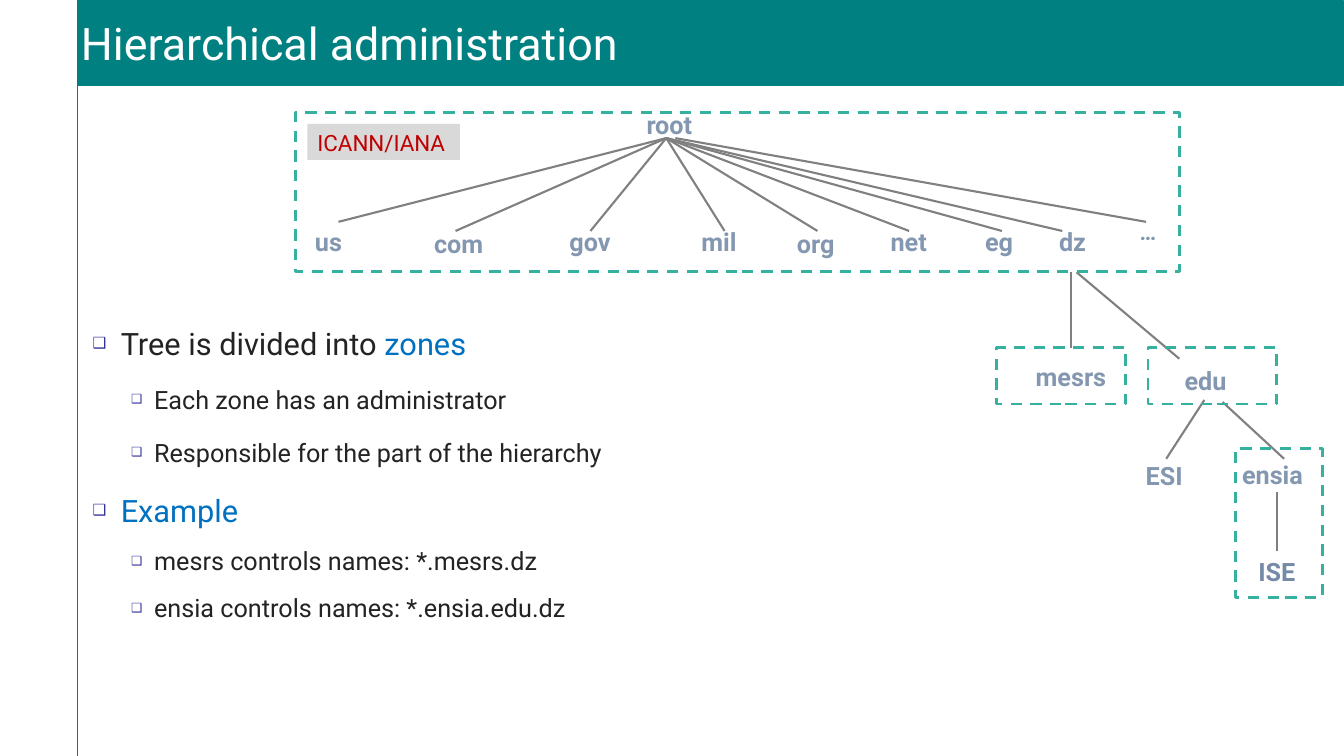
"""Build the slide on hierarchical administration of the domain name tree."""
from lxml.etree import SubElement
from pptx import Presentation
from pptx.dml.color import RGBColor
from pptx.enum.dml import MSO_LINE
from pptx.enum.shapes import MSO_CONNECTOR, MSO_SHAPE
from pptx.enum.text import MSO_ANCHOR, MSO_AUTO_SIZE, PP_ALIGN
from pptx.oxml.ns import qn
from pptx.util import Cm, Pt

COLORS = {
    "teal": "008080", "zone": "36B09F", "branch": "808080", "label": "8497B0",
    "leaf": "758AA7", "text": "232323", "accent": "0070C0", "bullet": "333399",
    "tag": "D9D9D9", "tag_text": "C00000", "white": "FFFFFF",
}


def write(paragraph, text, size=18, color="label", bold=False):
    run = paragraph.add_run()
    run.text = text
    run.font.name = "Roboto"
    run.font.size = Pt(size)
    run.font.bold = bold
    run.font.color.rgb = RGBColor.from_string(COLORS[color])


def connect(start, end, color="branch", width=1.5):
    ends = [Cm(value) for value in (*start, *end)]
    branch = slide.shapes.add_connector(MSO_CONNECTOR.STRAIGHT, *ends)
    branch.line.color.rgb = RGBColor.from_string(COLORS[color])
    branch.line.width = Pt(width)
    SubElement(branch._element.spPr, qn("a:effectLst"))


presentation = Presentation()
presentation.slide_width = Cm(33.87)
presentation.slide_height = Cm(19.05)
slide = presentation.slides.add_slide(presentation.slide_layouts[1])

title = slide.shapes.title
title.left, title.top, title.width, title.height = Cm(1.96), Cm(0.03), Cm(31.9), Cm(2.11)
title.fill.solid()
title.fill.fore_color.rgb = RGBColor.from_string(COLORS["teal"])
title.line.color.rgb = RGBColor.from_string(COLORS["teal"])
title.line.width = Pt(1)
heading = title.text_frame
heading.auto_size = MSO_AUTO_SIZE.NONE
heading.vertical_anchor = MSO_ANCHOR.MIDDLE
heading.margin_left = heading.margin_right = Cm(0.08)
heading.margin_top = heading.margin_bottom = Cm(0.08)
heading.paragraphs[0].alignment = PP_ALIGN.LEFT
write(heading.paragraphs[0], "Hierarchical administration", size=32, color="white")

connect((1.96, 1.85), (1.96, 19.05), color="teal", width=0.75)

points = slide.placeholders[1]
points.left, points.top, points.width, points.height = Cm(2.08), Cm(7.87), Cm(22.1), Cm(11.18)
points.text_frame.auto_size = MSO_AUTO_SIZE.NONE
points.text_frame.vertical_anchor = MSO_ANCHOR.TOP
outline = [
    (0, 1.2, [("Tree is divided into ", "text"), ("zones", "accent")]),
    (1, 1.2, [("Each zone has an administrator", "text")]),
    (1, 1.2, [("Responsible for the part of the hierarchy", "text")]),
    (0, 1.2, [("Example", "accent")]),
    (1, 1.0, [("mesrs controls names: *.mesrs.dz", "text")]),
    (1, 1.0, [("ensia controls names: *.ensia.edu.dz", "text")]),
]
for index, (level, spacing, pieces) in enumerate(outline):
    point = points.text_frame.add_paragraph() if index else points.text_frame.paragraphs[0]
    point.level = level
    properties = point._p.get_or_add_pPr()
    properties.set("marL", str(Cm((0.71, 1.55)[level])))
    properties.set("indent", str(-Cm((0.71, 0.58)[level])))
    SubElement(SubElement(properties, qn("a:buClr")), qn("a:srgbClr"), val=COLORS["bullet"])
    SubElement(properties, qn("a:buSzPct"), val="50000")
    SubElement(properties, qn("a:buFont"), typeface="Roboto")
    SubElement(properties, qn("a:buChar"), char="❑")
    point.line_spacing = spacing
    point.space_before = Pt(12 if index else 0)
    for text, color in pieces:
        write(point, text, size=(22, 18)[level], color=color)

domains = [
    ("root", 16.87, 2.64, 1.98), ("us", 8.28, 5.59, 1.32), ("com", 11.56, 5.64, 1.98),
    ("gov", 14.87, 5.59, 1.8), ("mil", 18.12, 5.59, 1.6), ("org", 20.56, 5.64, 1.7),
    ("net", 22.9, 5.59, 1.7), ("eg", 25.18, 5.59, 1.4), ("dz", 27.03, 5.59, 1.32),
    ("…", 28.93, 5.38, 1.07), ("edu", 30.38, 9.07, 1.83), ("mesrs", 26.99, 8.99, 2.67),
    ("ensia", 32.07, 11.46, 2.41), ("ESI", 29.34, 11.48, 1.63), ("ISE", 32.18, 13.89, 1.63),
]
for name, center, top, width in domains:
    domain = slide.shapes.add_textbox(Cm(center - width / 2), Cm(top), Cm(width), Cm(1.02))
    domain.text_frame.word_wrap = False
    domain.text_frame.paragraphs[0].alignment = PP_ALIGN.CENTER
    write(domain.text_frame.paragraphs[0], name, size=16 if name == "…" else 18,
          color="leaf" if name == "ISE" else "label", bold=True)

root = (16.79, 3.48)
connect(root, (8.53, 5.59))
for x in (11.48, 14.88, 18.26, 20.6, 22.91, 25.25, 26.77):
    connect(root, (x, 5.82))
for start, end in [
    ((17.02, 3.48), (28.88, 5.59)),
    ((27, 6.86), (27, 8.76)),
    ((27.13, 6.86), (29.72, 9.04)),
    ((30.35, 10.08), (29.39, 11.56)),
    ((30.81, 10.13), (32.36, 11.56)),
    ((32.18, 12.4), (32.18, 13.89)),
]:
    connect(start, end)

for bounds in [
    (7.44, 2.84, 22.28, 4.01),
    (28.93, 8.76, 3.25, 1.42),
    (25.12, 8.76, 3.25, 1.42),
    (31.14, 11.3, 2.18, 3.76),
]:
    zone = slide.shapes.add_shape(MSO_SHAPE.RECTANGLE, *[Cm(value) for value in bounds])
    zone.shadow.inherit = False
    zone.fill.background()
    zone.line.color.rgb = RGBColor.from_string(COLORS["zone"])
    zone.line.width = Pt(2)
    zone.line.dash_style = MSO_LINE.DASH

authority = slide.shapes.add_textbox(Cm(7.75), Cm(3.12), Cm(3.84), Cm(0.91))
authority.fill.solid()
authority.fill.fore_color.rgb = RGBColor.from_string(COLORS["tag"])
authority.text_frame.word_wrap = False
write(authority.text_frame.paragraphs[0], "ICANN/IANA", size=16, color="tag_text")

presentation.save("out.pptx")
